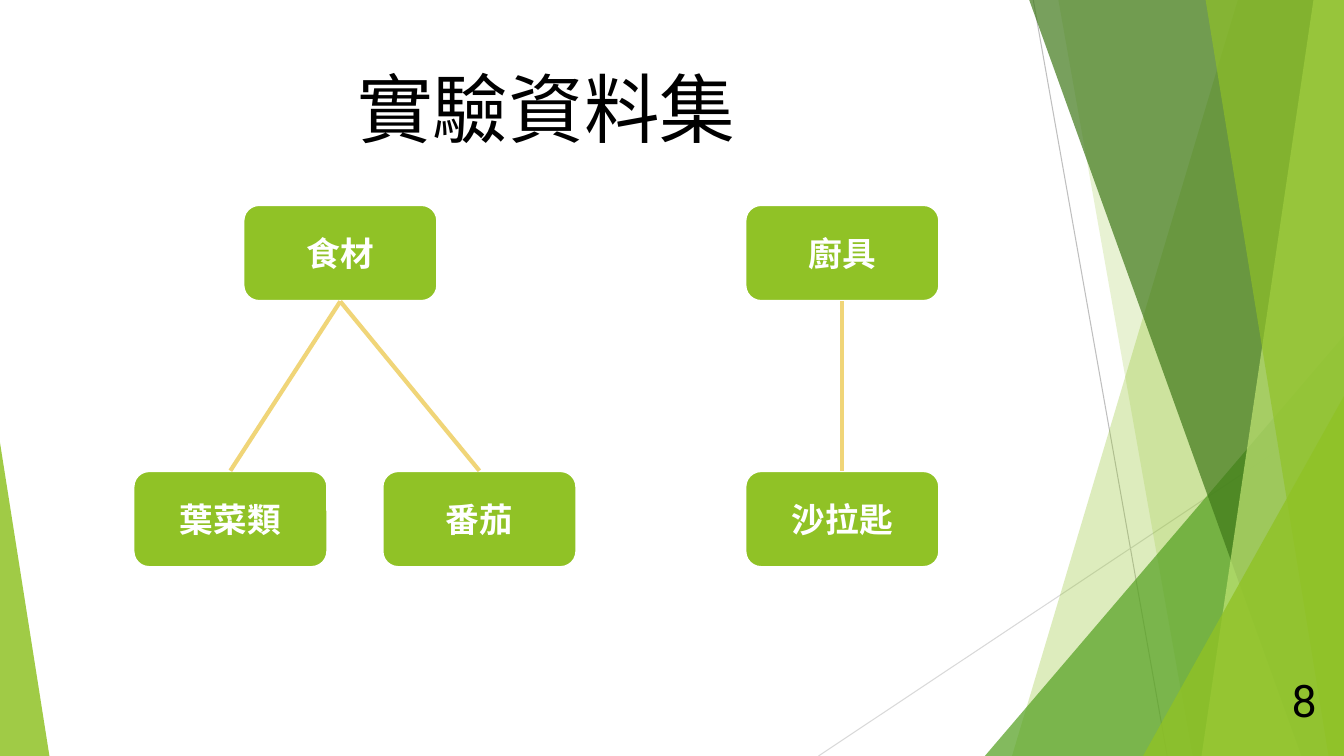
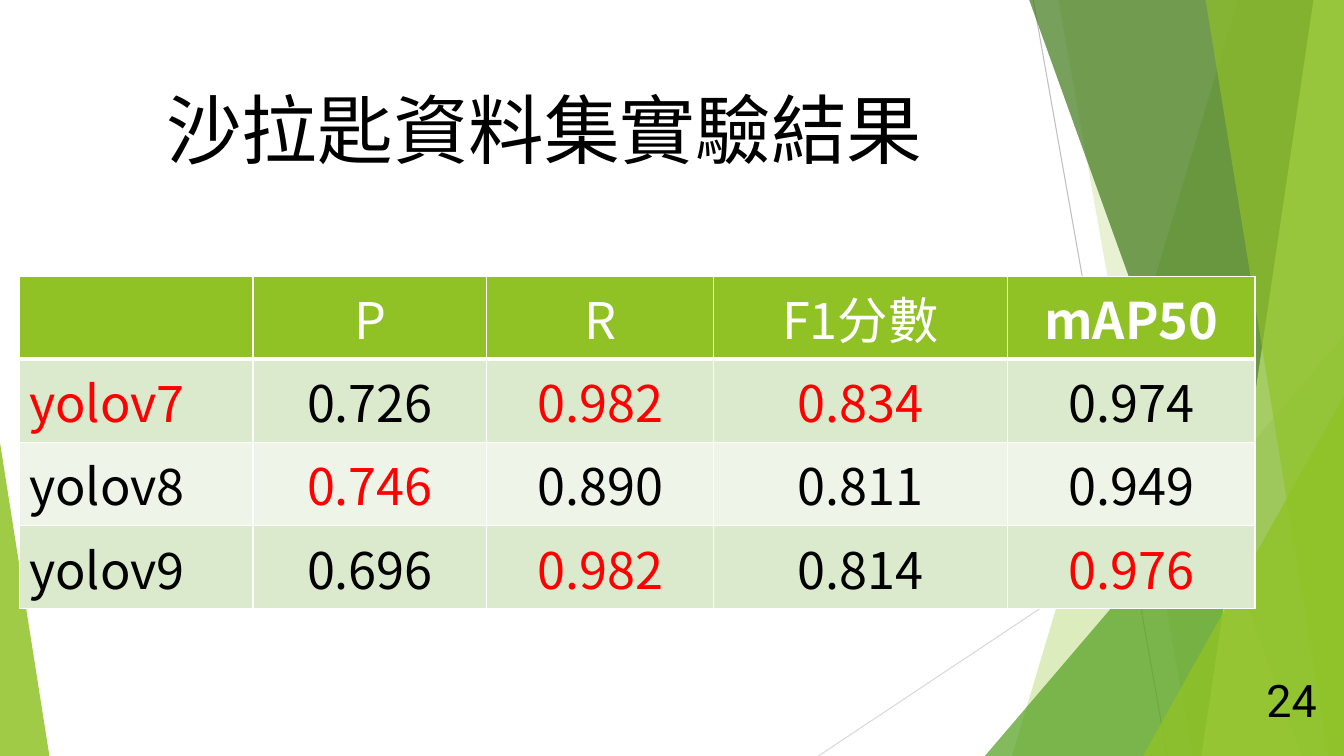
"""Build two slides on a recognition data set and its results."""
from lxml.etree import SubElement
from pptx import Presentation
from pptx.dml.color import RGBColor
from pptx.enum.shapes import MSO_CONNECTOR, MSO_SHAPE
from pptx.enum.text import MSO_ANCHOR, PP_ALIGN
from pptx.oxml.ns import qn
from pptx.util import Inches, Pt

WIDTH, HEIGHT = Inches(13.33), Inches(7.5)
CJK_FONT = "Noto Sans CJK TC"
COLORS = {
    "lime": "90C226", "green": "54A021", "forest": "3F7819", "pale": "C0E474",
    "gray": "BFBFBF", "silver": "D9D9D9", "sand": "F0D578",
    "row_dark": "DBE9CD", "row_light": "EEF4E8",
    "white": "FFFFFF", "black": "000000", "red": "FF0000",
}
BOX_SIZE = (14.48, 12.8)
TOP_ROW, BOTTOM_ROW = 27.07, 62.27
TREES = [
    (("食材", 18.08), [("葉菜類", 9.9), ("番茄", 28.43)]),
    (("廚具", 55.43), [("沙拉匙", 55.43)]),
]
COLUMN_SHARES = [17.4, 17.4, 16.88, 21.83, 18.45]
ROW_SHARE = 11
RESULTS = [
    ["", "P", "R", "F1分數", "mAP50"],
    ["yolov7", "0.726", "0.982", "0.834", "0.974"],
    ["yolov8", "0.746", "0.890", "0.811", "0.949"],
    ["yolov9", "0.696", "0.982", "0.814", "0.976"],
]
BEST_CELLS = {(1, 0), (1, 2), (1, 3), (2, 1), (3, 2), (3, 4)}


def across(percent):
    """Turn a percentage of the slide width into a length."""
    return round(WIDTH * percent / 100)


def down(percent):
    """Turn a percentage of the slide height into a length."""
    return round(HEIGHT * percent / 100)


def area(left, top, width, height):
    """Turn four percentages into a position and size."""
    return across(left), down(top), across(width), down(height)


def color(name):
    """Look up a palette colour."""
    return RGBColor.from_string(COLORS[name])


def write(frame, text, size, color_name, align=PP_ALIGN.CENTER, font=CJK_FONT, bold=False):
    """Set the text of a frame and format its runs."""
    frame.text = text
    frame.word_wrap = True
    for para in frame.paragraphs:
        para.alignment = align
        for span in para.runs:
            span.font.name = font
            span.font.size = Pt(size)
            span.font.bold = bold
            span.font.color.rgb = color(color_name)
            SubElement(span.font._element, qn("a:ea")).set("typeface", CJK_FONT)


def paint(shape, fill_name, opacity=100):
    """Give a shape a flat fill of the given opacity and no shadow."""
    shape.shadow.inherit = False
    shape.fill.solid()
    shape.fill.fore_color.rgb = color(fill_name)
    shape.line.fill.background()
    if opacity < 100:
        tint = shape.element.xpath("./p:spPr/a:solidFill/a:srgbClr")[0]
        SubElement(tint, qn("a:alpha")).set("val", str(opacity * 1000))


def add_line(page, start, end, color_name, weight):
    """Draw a straight line between two points given in percent."""
    line = page.shapes.add_connector(
        MSO_CONNECTOR.STRAIGHT,
        across(start[0]), down(start[1]), across(end[0]), down(end[1]),
    )
    line.line.color.rgb = color(color_name)
    line.line.width = Pt(weight)
    SubElement(line.element.spPr, qn("a:effectLst"))
    return line


def add_band(page, top_x, bottom_x, fill_name, opacity):
    """Draw a full-height band with a slanted left edge."""
    builder = page.shapes.build_freeform(across(top_x), 0)
    builder.add_line_segments([(WIDTH, 0), (WIDTH, HEIGHT), (across(bottom_x), HEIGHT)])
    paint(builder.convert_to_shape(), fill_name, opacity)


def add_corner(page, left, right, top, apex, fill_name, opacity):
    """Draw a right triangle standing on the bottom edge."""
    corner = page.shapes.add_shape(
        MSO_SHAPE.ISOSCELES_TRIANGLE, *area(left, top, right - left, 100 - top)
    )
    corner.adjustments[0] = apex
    paint(corner, fill_name, opacity)


def add_scenery(deck, layout):
    """Draw the facets on a scratch slide and move them to the layout."""
    page = deck.slides.add_slide(layout)
    kept = len(page.shapes)
    add_line(page, (76.88, 0), (86.85, 100), "gray", 0.75)
    add_line(page, (100, 53.73), (60.9, 100), "silver", 0.75)
    add_band(page, 92.1, 75.3, "lime", 30)
    add_band(page, 78.75, 88.73, "lime", 20)
    add_corner(page, 73.28, 100, 44.4, 1, "green", 72)
    add_band(page, 76.58, 96.83, "forest", 70)
    add_band(page, 97.73, 89.4, "pale", 70)
    add_band(page, 89.7, 98.85, "lime", 65)
    add_corner(page, 85.05, 100, 52.4, 1, "lime", 80)
    add_corner(page, 0, 3.68, 58.53, 0, "lime", 85)
    for index, shape in enumerate(list(page.shapes)[kept:]):
        shape.element.xpath(".//p:cNvPr")[0].set("id", str(100 + index))
        layout.shapes.element.insert(2 + index, shape.element)
    return page


def add_frame(page, title, title_area, number):
    """Fill in the title and the slide number."""
    heading = page.shapes.title
    heading.left, heading.top, heading.width, heading.height = area(*title_area)
    write(heading.text_frame, title, 54, "black")
    heading.text_frame.vertical_anchor = MSO_ANCHOR.MIDDLE
    box = page.shapes.add_textbox(*area(92.18, 89.87, 6.53, 5.33))
    write(box.text_frame, number, 32, "black", PP_ALIGN.RIGHT, "Roboto")
    box.text_frame.vertical_anchor = MSO_ANCHOR.MIDDLE


def add_box(page, text, left, top):
    """Draw one labelled node of a tree."""
    box = page.shapes.add_shape(MSO_SHAPE.ROUNDED_RECTANGLE, *area(left, top, *BOX_SIZE))
    paint(box, "lime")
    box.line.color.rgb = color("white")
    box.line.width = Pt(2)
    write(box.text_frame, text, 24, "white", font="Arial", bold=True)
    box.text_frame.vertical_anchor = MSO_ANCHOR.MIDDLE
    return box


def add_tree(page, root, leaves):
    """Draw a root node joined to its leaves."""
    parent = add_box(page, *root, TOP_ROW)
    children = [add_box(page, *leaf, BOTTOM_ROW) for leaf in leaves]
    for child in children:
        link = add_line(page, (0, 0), (0, 0), "sand", 3)
        link.begin_connect(parent, 2)
        link.end_connect(child, 0)


def add_borders(cell, bottom_weight):
    """Give a cell white borders."""
    properties = cell._tc.get_or_add_tcPr()
    for side, weight in (("L", 1), ("R", 1), ("T", 1), ("B", bottom_weight)):
        border = SubElement(properties, qn(f"a:ln{side}"), w=str(Pt(weight)))
        fill = SubElement(border, qn("a:solidFill"))
        SubElement(fill, qn("a:srgbClr"), val=COLORS["white"])


def add_results(page):
    """Draw the table of scores with the best ones in red."""
    table = page.shapes.add_table(
        len(RESULTS), len(COLUMN_SHARES),
        *area(1.43, 36.53, sum(COLUMN_SHARES), ROW_SHARE * len(RESULTS)),
    ).table
    for column, share in zip(table.columns, COLUMN_SHARES):
        column.width = across(share)
    for r, values in enumerate(RESULTS):
        header = r == 0
        fill_name = "lime" if header else "row_dark" if r % 2 else "row_light"
        for c, value in enumerate(values):
            cell = table.cell(r, c)
            add_borders(cell, 3 if header else 1)
            cell.fill.solid()
            cell.fill.fore_color.rgb = color(fill_name)
            ink = "white" if header else "red" if (r, c) in BEST_CELLS else "black"
            align = PP_ALIGN.CENTER if c else PP_ALIGN.LEFT
            write(cell.text_frame, value, 36, ink, align, bold=value == "mAP50")


def main():
    """Build and save the deck."""
    deck = Presentation()
    deck.slide_width, deck.slide_height = WIDTH, HEIGHT
    layout = deck.slide_layouts.get_by_name("Title Only")

    page = add_scenery(deck, layout)
    add_frame(page, "實驗資料集", (5.4, 4.53, 70.5, 19.2), "8")
    for root, leaves in TREES:
        add_tree(page, root, leaves)

    page = deck.slides.add_slide(layout)
    add_frame(page, "沙拉匙資料集實驗結果", (1.43, 8.93, 78.15, 16), "24")
    add_results(page)
    deck.save("out.pptx")


if __name__ == "__main__":
    main()
